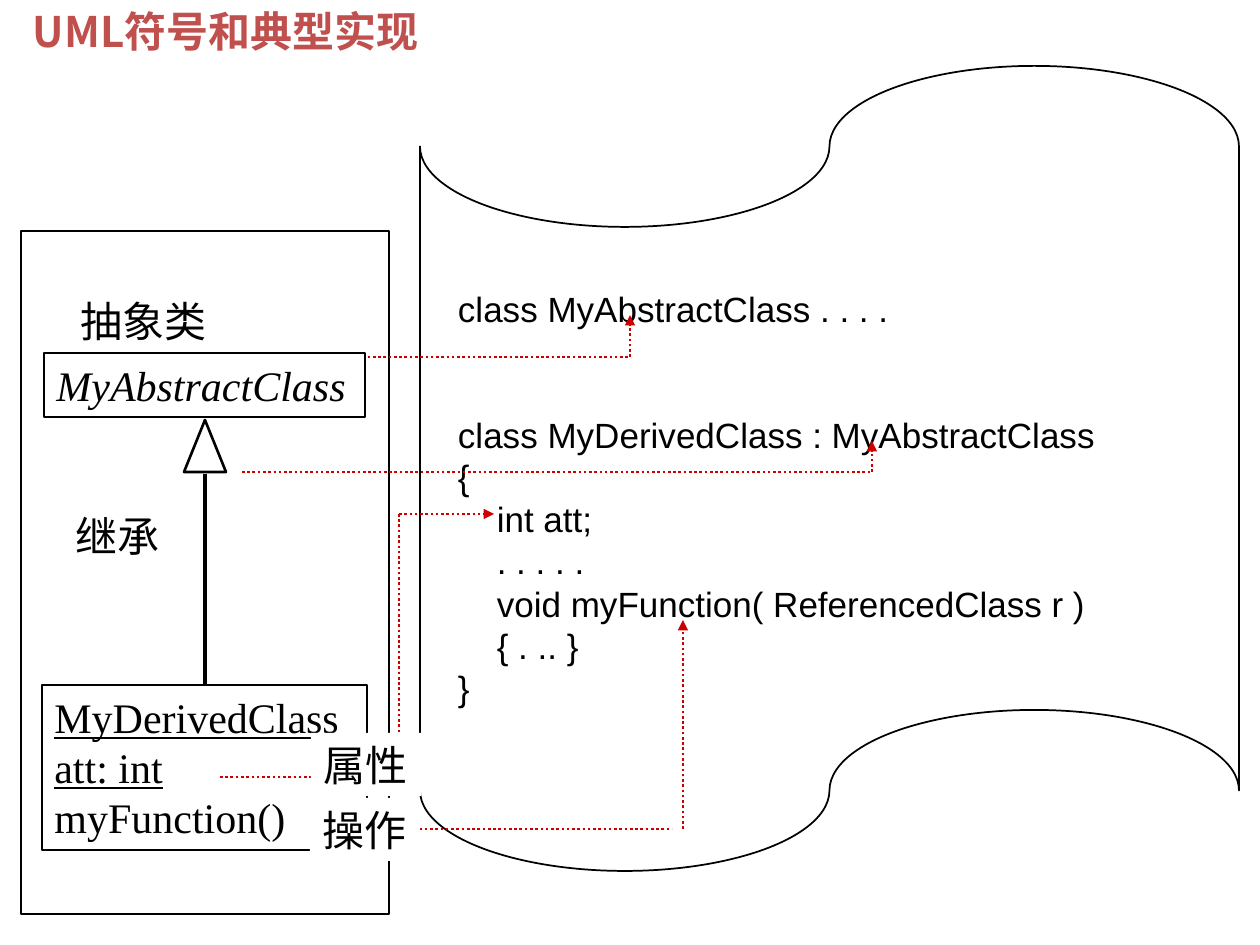
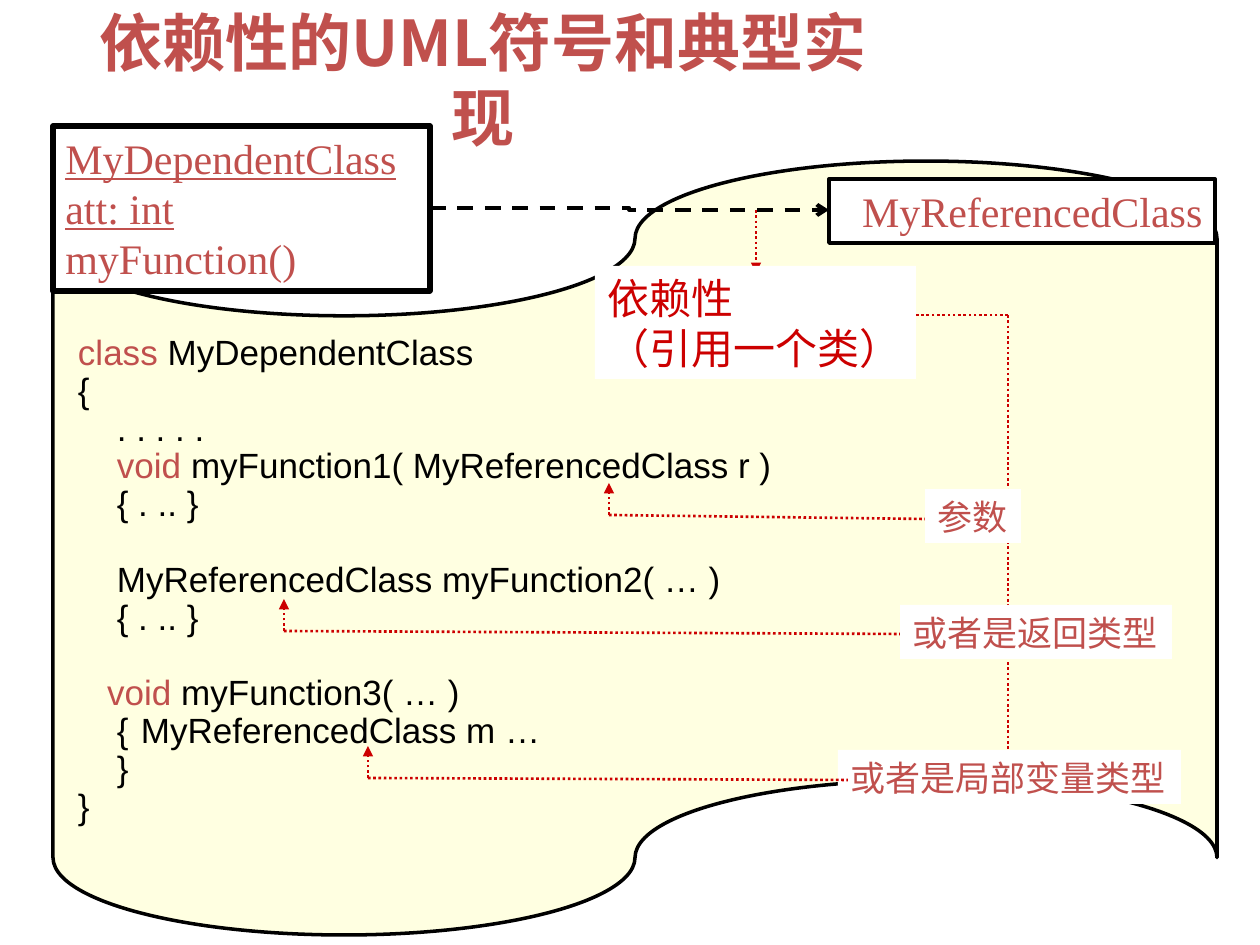
from lxml import etree
from pptx import Presentation
from pptx.dml.color import RGBColor
from pptx.enum import dml, shapes, text
from pptx.oxml.ns import qn
from pptx.util import Emu, Inches, Pt

PX = Inches(1) / 126
BLACK = RGBColor(0x00, 0x00, 0x00)
WHITE = RGBColor(0xFF, 0xFF, 0xFF)
CREAM = RGBColor(0xFF, 0xFF, 0xE1)
BRICK = RGBColor(0xC0, 0x50, 0x4D)
RED = RGBColor(0xCC, 0x00, 0x00)
SERIF = "Times New Roman"
TITLE_FONT = "Noto Sans CJK SC"
RECTANGLE = shapes.MSO_SHAPE.RECTANGLE
TAPE = shapes.MSO_SHAPE.FLOWCHART_PUNCHED_TAPE
TRIANGLE = shapes.MSO_SHAPE.ISOSCELES_TRIANGLE
LEFT, CENTER, RIGHT = text.PP_ALIGN.LEFT, text.PP_ALIGN.CENTER, text.PP_ALIGN.RIGHT

ABSTRACT_CODE = [
    "class MyAbstractClass . . . .",
    "class MyDerivedClass : MyAbstractClass",
    "{",
    "    int att;",
    "    . . . . .",
    "    void myFunction( ReferencedClass r )",
    "    { . .. }",
    "}",
]
DEPENDENT_CODE = [
    [("class", {"color": BRICK}), (" MyDependentClass", {})],
    "{",
    "    . . . . .",
    [("    ", {}), ("void", {"color": BRICK}), (" myFunction1( MyReferencedClass r )", {})],
    "    { . .. }",
    "    MyReferencedClass myFunction2( … )",
    "    { . .. }",
    [("   ", {}), ("void", {"color": BRICK}), (" myFunction3( … )", {})],
    "    { \tMyReferencedClass m …",
    "    }",
    "}",
]


def px(*lengths):
    """Turn pixel lengths into EMU."""
    return [Emu(round(length * PX)) for length in lengths]


def style_font(font, color=BLACK, **values):
    """Set a font's colour and its other format values."""
    font.color.rgb = color
    for name, value in values.items():
        setattr(font, name, value)


def write(frame, lines, size, align=LEFT, pitch=1.2, gaps=None, **style):
    """Write lines of text; gaps maps a line index to the empty lines above it."""
    spacing = Pt(round(size * pitch, 1))
    for index, line in enumerate(lines):
        paragraph = frame.add_paragraph() if index else frame.paragraphs[0]
        paragraph.alignment = align
        paragraph.line_spacing = spacing
        paragraph.space_before = Emu(spacing * (gaps or {}).get(index, 0))
        for content, special in [(line, {})] if isinstance(line, str) else line:
            run = paragraph.add_run()
            run.text = content
            style_font(run.font, **{"size": Pt(size), **style, **special})


def add_title(slide, title, box, size):
    """Move and fill the title placeholder."""
    shape = slide.shapes.title
    shape.left, shape.top, shape.width, shape.height = px(*box)
    frame = shape.text_frame
    frame.word_wrap = True
    frame.auto_size = text.MSO_AUTO_SIZE.NONE
    frame.vertical_anchor = text.MSO_ANCHOR.MIDDLE
    write(frame, [title], size, CENTER, name=TITLE_FONT, color=BRICK, bold=True)
    for run in frame.paragraphs[0].runs:
        east_asian = etree.SubElement(run.font._element, qn("a:ea"))
        east_asian.set("typeface", TITLE_FONT)


def add_outline(slide, kind, box, fill=None, width=None):
    """Add a preset shape with an optional fill and black line."""
    shape = slide.shapes.add_shape(kind, *px(*box))
    shape.shadow.inherit = False
    if fill is None:
        shape.fill.background()
    else:
        shape.fill.solid()
        shape.fill.fore_color.rgb = fill
    if width is None:
        shape.line.fill.background()
    else:
        shape.line.color.rgb = BLACK
        shape.line.width = Pt(width)
    return shape


def add_label(slide, lines, box, size=24, align=LEFT, fill=WHITE, width=None, **style):
    """Add a box that fits its unwrapped text."""
    frame = add_outline(slide, RECTANGLE, box, fill, width).text_frame
    frame.word_wrap = False
    frame.auto_size = text.MSO_AUTO_SIZE.SHAPE_TO_FIT_TEXT
    frame.vertical_anchor = text.MSO_ANCHOR.TOP
    write(frame, lines, size, align, **{"name": "Calibri", **style})


def add_class(slide, name, box, **style):
    """Add a class box with its attribute and operation."""
    lines = [[(entry, {"underline": True})] for entry in (name, "att: int")]
    add_label(slide, lines + ["myFunction()"], box, name=SERIF, **style)


def add_code(slide, lines, box, fill, width, insets, pitch, gaps):
    """Add a punched tape that carries code."""
    frame = add_outline(slide, TAPE, box, fill, width).text_frame
    frame.word_wrap = True
    frame.vertical_anchor = text.MSO_ANCHOR.TOP
    frame.margin_left, frame.margin_top, frame.margin_right, frame.margin_bottom = px(*insets, 0, 0)
    write(frame, lines, 20, pitch=pitch, gaps=gaps, name="Arial")


def add_line(slide, points, color=RED, width=1.5, dash=dml.MSO_LINE.ROUND_DOT,
             arrow=None, kind=shapes.MSO_CONNECTOR.STRAIGHT):
    """Add a connector from the first point to the second."""
    connector = slide.shapes.add_connector(kind, *px(*points))
    line = connector.line
    line.color.rgb = color
    line.width = Pt(width)
    if dash:
        line.dash_style = dash
    properties = connector._element.spPr
    if arrow:
        etree.SubElement(properties.find(qn("a:ln")), qn("a:tailEnd")).set("type", arrow)
    etree.SubElement(properties, qn("a:effectLst"))


def build_inheritance(slide):
    """Draw inheritance beside the code that realises it."""
    add_label(slide, ["抽象类"], (68, 289, 152, 63), name="Montserrat")
    add_code(slide, ABSTRACT_CODE, (420, 66, 819, 805), None, 1, (38, 61), 1.2, {1: 2})
    add_line(slide, (205, 474, 205, 685), BLACK, 2.25, None)
    add_class(slide, "MyDerivedClass", (42, 685, 325, 165), fill=None, width=0.75)
    add_outline(slide, RECTANGLE, (21, 231, 368, 683), width=0.75)
    add_line(slide, (220, 777, 368, 777))
    add_line(slide, (399, 514, 399, 777))
    add_line(slide, (399, 514, 494, 514), arrow="triangle")
    add_label(slide, ["属性"], (311, 733, 110, 63))
    add_line(slide, (346, 829, 672, 829))
    add_line(slide, (683, 829, 683, 620), arrow="triangle")
    add_label(slide, ["操作"], (310, 798, 110, 63))
    add_outline(slide, TRIANGLE, (184, 420, 42, 52), WHITE, 1.5)
    add_label(slide, ["继承"], (63, 504, 110, 63))
    add_line(slide, (252, 357, 630, 357))
    add_label(slide, ["MyAbstractClass"], (44, 353, 321, 64), width=0.75, name=SERIF, italic=True)
    add_line(slide, (630, 357, 630, 315), arrow="triangle")
    add_line(slide, (242, 472, 872, 472))
    add_line(slide, (872, 472, 872, 441), arrow="triangle")


def build_dependency(slide):
    """Draw a dependency and the three code forms it takes."""
    add_code(slide, DEPENDENT_CODE, (53, 161, 1164, 774), CREAM, 2, (25, 19), 1.08, {5: 1, 7: 1})
    add_line(slide, (430, 208, 829, 210), BLACK, 2.25, dml.MSO_LINE.DASH, "arrow",
             shapes.MSO_CONNECTOR.ELBOW)
    add_class(slide, "MyDependentClass", (53, 126, 377, 165), width=3, color=BRICK)
    add_label(slide, ["MyReferencedClass"], (829, 179, 386, 64), align=RIGHT, width=2.25,
              name=SERIF, color=BRICK)
    add_line(slide, (756, 210, 756, 273), arrow="triangle")
    add_line(slide, (1008, 315, 756, 315))
    add_line(slide, (1008, 315, 1008, 777))
    add_label(slide, ["依赖性", "（引用一个类）"], (595, 266, 321, 113), color=RED)
    uses = [
        ("参数", (925, 489, 96, 54), "Calibri", (609, 515), (925, 519)),
        ("或者是返回类型", (900, 605, 272, 54), SERIF, (284, 631), (900, 634)),
        ("或者是局部变量类型", (838, 750, 343, 54), SERIF, (368, 778), (848, 780)),
    ]
    for use, box, font, (x, y), end in uses:
        add_line(slide, (x, y, x, y - 32), arrow="triangle")
        add_label(slide, [use], box, 20, name=font, color=BRICK)
        add_line(slide, (x, y, *end))


def main():
    """Build both slides and save them."""
    presentation = Presentation()
    presentation.slide_width, presentation.slide_height = Inches(10), Inches(7.5)
    pages = [
        ("UML符号和典型实现", (-39, -34, 529, 130), 24, build_inheritance),
        ("依赖性的UML符号和典型实现", (63, 0, 840, 158), 36, build_dependency),
    ]
    for title, box, size, build in pages:
        slide = presentation.slides.add_slide(presentation.slide_layouts[5])
        add_title(slide, title, box, size)
        build(slide)
    presentation.save("out.pptx")


if __name__ == "__main__":
    main()
